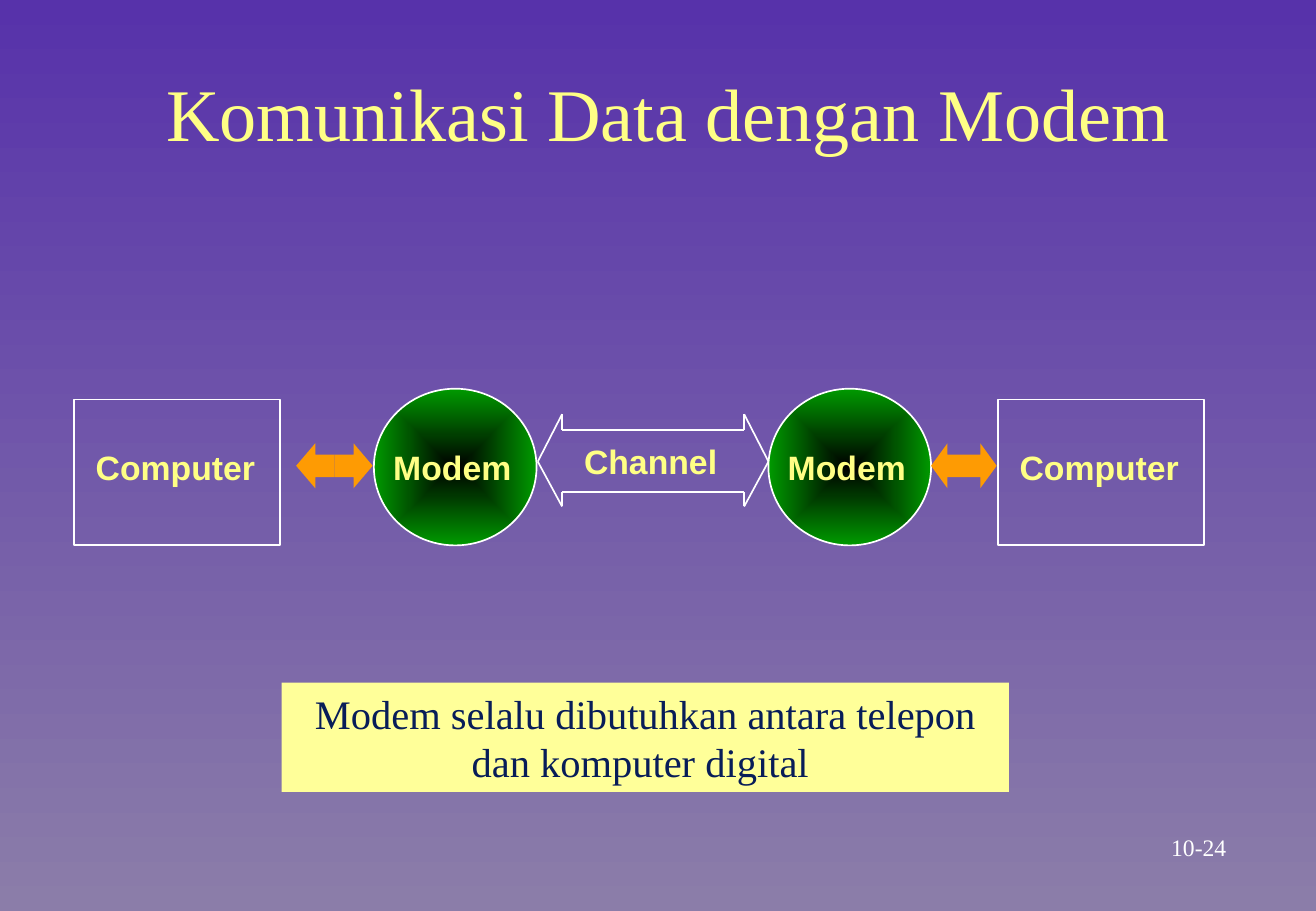
from lxml.etree import SubElement
from pptx import Presentation
from pptx.dml.color import RGBColor
from pptx.enum.shapes import MSO_CONNECTOR as Connector, MSO_SHAPE as Shape
from pptx.enum.text import MSO_ANCHOR as Anchor, MSO_AUTO_SIZE as AutoSize, PP_ALIGN as Align
from pptx.oxml.ns import qn
from pptx.util import Inches, Pt

COLORS = {
    "sky": "5732AA",
    "haze": "8B7DA9",
    "label": "FFFF85",
    "line": "FFFFFF",
    "core": "000000",
    "rim": "009900",
    "arrow": "FE9B03",
    "note": "FFFF99",
    "ink": "081D58",
}
SERIF, SANS = "Times New Roman", "Arial"


def color(name):
    return RGBColor.from_string(COLORS[name])


def set_gradient(fill, first, last):
    fill.gradient()
    for stop, name in zip(fill.gradient_stops, (first, last)):
        stop.color.rgb = color(name)


def place(shape, box):
    shape.left, shape.top, shape.width, shape.height = map(Inches, box)


def write(shape, text, font, size, ink, align=Align.CENTER, anchor=Anchor.MIDDLE, bold=False, wrap=True):
    frame = shape.text_frame
    frame.auto_size = AutoSize.NONE
    frame.word_wrap = wrap
    frame.vertical_anchor = anchor
    paragraph = frame.paragraphs[0]
    paragraph.alignment = align
    run = paragraph.add_run()
    run.text = text
    run.font.name = font
    run.font.size = Pt(size)
    run.font.bold = bold
    run.font.color.rgb = color(ink)


def add_label(slide, box, text, align=Align.LEFT):
    label = slide.shapes.add_textbox(*map(Inches, box))
    write(label, text, SANS, 20, "label", align, Anchor.TOP, bold=True)


def add_shape(slide, kind, box, fill=None, line=None):
    shape = slide.shapes.add_shape(kind, *map(Inches, box))
    shape.shadow.inherit = False
    if fill:
        shape.fill.solid()
        shape.fill.fore_color.rgb = color(fill)
    else:
        shape.fill.background()
    if line:
        shape.line.color.rgb = color(line)
        shape.line.width = Pt(1)
    else:
        shape.line.fill.background()
    return shape


def add_line(slide, start, end):
    line = slide.shapes.add_connector(Connector.STRAIGHT, *map(Inches, (*start, *end)))
    line.line.color.rgb = color("line")
    line.line.width = Pt(1)
    SubElement(line._element.spPr, qn("a:effectLst"))


def add_computer(slide, box):
    left, top, width, height = box
    add_shape(slide, Shape.RECTANGLE, box, line="line")
    add_label(slide, (left + 0.08, top + 0.34, width + 0.04, 0.43), "Computer")


def add_modem(slide, box):
    left, top, width, height = box
    circle = add_shape(slide, Shape.OVAL, box, line="line")
    set_gradient(circle.fill, "core", "rim")
    gradient = circle._element.spPr.find(qn("a:gradFill"))
    gradient.remove(gradient.find(qn("a:lin")))
    center = SubElement(gradient, qn("a:path"))
    center.set("path", "rect")
    target = SubElement(center, qn("a:fillToRect"))
    for side in "ltrb":
        target.set(side, "50000")
    add_label(slide, (left + 0.06, top + 0.43, width + 0.14, 0.43), "Modem")


def add_double_arrow(slide, box):
    left, top, width, height = box
    half = width / 2
    add_shape(slide, Shape.RIGHT_ARROW, (left + half, top, half, height), "arrow")
    mirrored = add_shape(slide, Shape.RIGHT_ARROW, (left, top, half, height), "arrow")
    mirrored._element.spPr.find(qn("a:xfrm")).set("flipH", "1")


def add_channel(slide, box):
    left, top, width, height = box
    middle = top + 0.39
    edges = ((top, top + 0.13), (top + height, top + height - 0.12))
    for tip, direction in ((left, 1), (left + width, -1)):
        barb = tip + direction * 0.2
        rail_end = tip + direction * 1.55
        for outer, inner in edges:
            add_line(slide, (tip, middle), (barb, outer))
            add_line(slide, (barb, outer), (barb, inner))
            add_line(slide, (barb, inner), (rail_end, inner))
    add_label(slide, (left + 0.15, top + 0.17, 1.56, 0.43), "Channel", Align.CENTER)


def add_title(slide, box):
    title = slide.shapes.title
    place(title, box)
    write(title, "Komunikasi Data dengan Modem", SERIF, 44, "label", anchor=Anchor.BOTTOM)


def add_diagram(slide, box):
    left, top, width, height = box
    for offset in (0, width - 1.7):
        add_computer(slide, (left + offset, top + 0.09, 1.7, 1.2))
    for offset in (2.47, 5.72):
        add_modem(slide, (left + offset, top, 1.34, height))
    for offset, length in ((1.83, 0.63), (7.06, 0.54)):
        add_double_arrow(slide, (left + offset, top + 0.45, length, 0.37))
    add_channel(slide, (left + 3.82, top + 0.21, 1.9, 0.76))


def add_note(slide, box):
    note = add_shape(slide, Shape.RECTANGLE, box, "note")
    text = "Modem selalu dibutuhkan antara telepon dan komputer digital "
    write(note, text, SERIF, 24, "ink")


def add_page_number(slide, box):
    number = slide.shapes.add_textbox(*map(Inches, box))
    write(number, "10-24", SERIF, 14, "line", wrap=False)


def main():
    presentation = Presentation()
    presentation.slide_width = Inches(10.84)
    presentation.slide_height = Inches(7.5)
    slide = presentation.slides.add_slide(presentation.slide_layouts[5])
    background = slide.background.fill
    set_gradient(background, "sky", "haze")
    background.gradient_angle = 270
    add_title(slide, (0.27, 0.67, 10.47, 0.67))
    add_diagram(slide, (0.61, 3.2, 9.31, 1.29))
    add_note(slide, (2.32, 5.62, 5.99, 0.9))
    add_page_number(slide, (9.24, 6.8, 1.27, 0.34))
    presentation.save("out.pptx")


if __name__ == "__main__":
    main()
